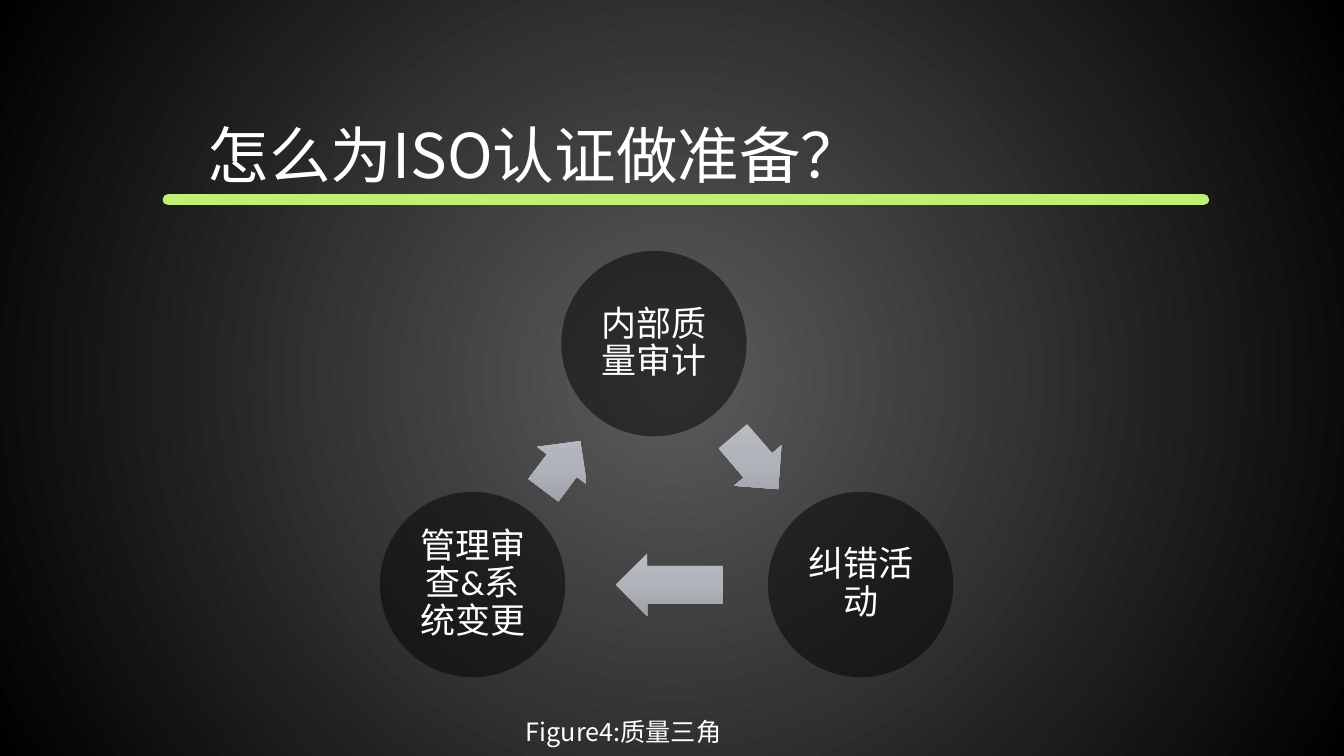
from lxml.etree import SubElement
from pptx import Presentation
from pptx.dml.color import RGBColor
from pptx.enum.shapes import MSO_CONNECTOR, MSO_SHAPE
from pptx.enum.text import MSO_ANCHOR, MSO_AUTO_SIZE, PP_ALIGN
from pptx.oxml.ns import qn
from pptx.util import Cm, Pt

COLORS = {"text": "FFFFFF", "rule": "BFEF74", "circle": "000000"}
BACKGROUND_STOPS = [(3, "595959"), (100, "000000")]
ARROW_STOPS = [(0, "BABDC2"), (50, "B0B3BA"), (100, "9C9FA6")]
CJK_FONT = "Noto Sans CJK SC"
CIRCLE_SIZE = 4.67
ARROW_HEIGHT = 1.57

# Label, centre x, centre y
STEPS = [
    ("内部质量审计", 16.48, 8.66),
    ("纠错活动", 21.69, 14.73),
    ("管理审查&系统变更", 11.91, 14.73),
]
# Centre x, centre y, length, rotation
ARROWS = [
    (19.04, 11.66, 1.75, 49.4),
    (16.87, 14.73, 2.69, 180),
    (14.16, 11.73, 1.55, 307),
]


def set_attributes(target, values):
    for name, value in values.items():
        setattr(target, name, value)


def write_text(shape, text, size, font_name, frame_format, paragraph_format):
    frame = shape.text_frame
    set_attributes(frame, {"word_wrap": True, **frame_format})
    paragraph = frame.paragraphs[0]
    set_attributes(paragraph, paragraph_format)
    run = paragraph.add_run()
    run.text = text
    set_attributes(run.font, {"size": Pt(size), "name": font_name})
    run.font.color.rgb = RGBColor.from_string(COLORS["text"])
    SubElement(run.font._element, qn("a:ea"), typeface=CJK_FONT)


def set_gradient(fill, owner, stops, radial=False):
    fill.gradient()
    gradient = owner.find(".//" + qn("a:gradFill"))
    gradient.set("rotWithShape", "0")
    for child in list(gradient):
        gradient.remove(child)
    stop_list = SubElement(gradient, qn("a:gsLst"))
    for position, color in stops:
        stop = SubElement(stop_list, qn("a:gs"), pos=str(position * 1000))
        SubElement(stop, qn("a:srgbClr"), val=color)
    if radial:
        shade = SubElement(gradient, qn("a:path"), path="circle")
        center = dict.fromkeys("ltrb", "50000")
        SubElement(shade, qn("a:fillToRect"), center)
    else:
        SubElement(gradient, qn("a:lin"), ang="5400000", scaled="0")


def add_text(slide, text, box, size, frame_format, paragraph_format):
    shape = slide.shapes.add_textbox(*map(Cm, box))
    write_text(shape, text, size, CJK_FONT, frame_format, paragraph_format)


def add_centered_shape(slide, kind, x, y, width, height):
    shape = slide.shapes.add_shape(
        kind, Cm(x - width / 2), Cm(y - height / 2), Cm(width), Cm(height))
    shape.shadow.inherit = False
    shape.line.fill.background()
    return shape


def add_step(slide, label, x, y):
    circle = add_centered_shape(slide, MSO_SHAPE.OVAL, x, y, CIRCLE_SIZE, CIRCLE_SIZE)
    circle.fill.solid()
    circle.fill.fore_color.rgb = RGBColor.from_string(COLORS["circle"])
    color = circle._element.spPr.find(".//" + qn("a:srgbClr"))
    SubElement(color, qn("a:alpha"), val="50000")
    margins = {f"margin_{side}": Cm(0.08) for side in ("left", "top", "right", "bottom")}
    write_text(circle, label, 25, "Calibri",
               {"vertical_anchor": MSO_ANCHOR.MIDDLE, **margins},
               {"alignment": PP_ALIGN.CENTER, "line_spacing": 0.9})


def add_arrow(slide, x, y, length, rotation):
    arrow = add_centered_shape(slide, MSO_SHAPE.RIGHT_ARROW, x, y, length, ARROW_HEIGHT)
    arrow.adjustments[0] = 0.6
    arrow.adjustments[1] = 0.5
    arrow.rotation = rotation
    set_gradient(arrow.fill, arrow._element.spPr, ARROW_STOPS)


def add_rule(slide, left, right, y):
    rule = slide.shapes.add_connector(
        MSO_CONNECTOR.STRAIGHT, Cm(left), Cm(y), Cm(right), Cm(y))
    rule.line.width = Pt(8)
    rule.line.color.rgb = RGBColor.from_string(COLORS["rule"])
    properties = rule._element.spPr
    properties.find(qn("a:ln")).set("cap", "rnd")
    SubElement(properties, qn("a:effectLst"))


def main():
    presentation = Presentation()
    presentation.slide_width, presentation.slide_height = Cm(33.87), Cm(19.05)
    slide = presentation.slides.add_slide(presentation.slide_layouts[6])
    set_gradient(slide.background.fill, slide._element, BACKGROUND_STOPS, radial=True)

    # Title and rule
    add_text(slide, "怎么为ISO认证做准备？", (4.98, 2.16, 23.65, 3.68), 44,
             {"vertical_anchor": MSO_ANCHOR.MIDDLE}, {"line_spacing": 0.9})
    add_rule(slide, 4.24, 30.33, 5.03)

    # Quality triangle
    for step, arrow in zip(STEPS, ARROWS):
        add_step(slide, *step)
        add_arrow(slide, *arrow)

    # Caption
    add_text(slide, "Figure4:质量三角", (13, 17.93, 10.06, 1.02), 18,
             {"auto_size": MSO_AUTO_SIZE.SHAPE_TO_FIT_TEXT}, {})

    presentation.save("out.pptx")


if __name__ == "__main__":
    main()
